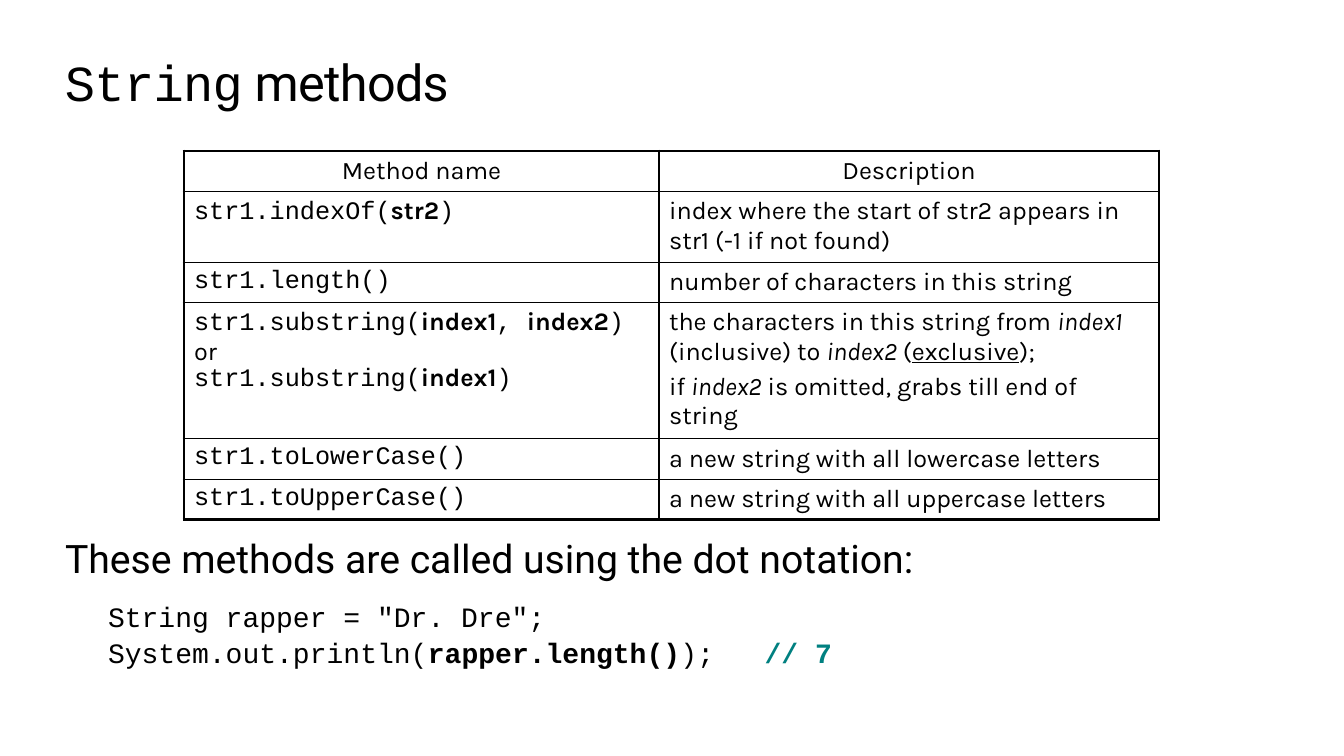
from lxml import etree
from pptx import Presentation
from pptx.dml.color import RGBColor
from pptx.enum.text import MSO_ANCHOR, PP_ALIGN
from pptx.oxml.ns import qn
from pptx.util import Pt

BOTTOM, TOP = MSO_ANCHOR.BOTTOM, MSO_ANCHOR.TOP
CENTER = PP_ALIGN.CENTER
PX = 914400 / 100.8
BLACK, TEAL = "000000", "008080"
THIN, THICK = 1, 2.25

CODE = {"name": "Courier New"}
PROSE = {"name": "Karla"}
HEADING = {"name": "Roboto"}
ARGUMENT = {"name": "Karla", "bold": True}
ITALIC = {"name": "Karla", "italic": True}
UNDERLINED = {"name": "Karla", "underline": True}
BOLD_CODE = {"name": "Courier New", "bold": True}


def px(*lengths):
    return [round(length * PX) for length in lengths]


def write(frame, paragraphs, size, formats=()):
    """Fill a text frame with lists of (text, font values), one list a paragraph."""
    frame.word_wrap = True
    for i, runs in enumerate(paragraphs):
        paragraph = frame.paragraphs[0] if i == 0 else frame.add_paragraph()
        for text, font_values in runs:
            run = paragraph.add_run()
            run.text = text
            values = {"size": Pt(size), **font_values}
            run.font.color.rgb = RGBColor.from_string(values.pop("color", BLACK))
            for key, value in values.items():
                setattr(run.font, key, value)
        for key, value in (formats[i] if formats else {}).items():
            setattr(paragraph, key, value)


prs = Presentation()
prs.slide_width, prs.slide_height = px(1344, 756)
slide = prs.slides.add_slide(prs.slide_layouts[6])

# Title and dot notation example
title = slide.shapes.add_textbox(*px(65, 45, 1215, 67)).text_frame
usage = slide.shapes.add_textbox(*px(65, 534, 1231, 147)).text_frame
for frame, anchor, top_inset in ((title, BOTTOM, 5), (usage, TOP, 0)):
    frame.vertical_anchor = anchor
    frame.margin_left, frame.margin_top, frame.margin_right, frame.margin_bottom = px(0, top_inset, 0, 0)

write(title, [[("String", CODE), (" methods", HEADING)]], 36)
for run in title.paragraphs[0].runs:
    run.font._element.set("spc", "-50")

usage_lines = [
    [("These methods are called using the dot notation:", {**HEADING, "size": Pt(28)})],
    [('String rapper = "Dr. Dre";', CODE)],
    [("System.out.println(", CODE), ("rapper.length()", BOLD_CODE), (");   ", CODE),
     ("// 7", {**BOLD_CODE, "color": TEAL})],
]
write(usage, usage_lines, 20, [
    {},
    {"line_spacing": 0.8, "space_before": Pt(18)},
    {"line_spacing": 0.8, "space_before": Pt(6)},
])
for paragraph in usage.paragraphs[1:]:
    paragraph._p.get_or_add_pPr().set("marL", str(px(43)[0]))

# Method table
methods = [
    (39, [[("Method name", PROSE)]], [[("Description", PROSE)]]),
    (71, [[("str1.indexOf(", CODE), ("str2", ARGUMENT), (")", CODE)]],
     [[("index where the start of str2 appears in str1 (-1 if not found)", PROSE)]]),
    (40, [[("str1.length()", CODE)]], [[("number of characters in this string", PROSE)]]),
    (133, [
        [("str1.substring(", CODE), ("index1", ARGUMENT), (", ", CODE),
         ("index2", ARGUMENT), (")", CODE)],
        [("or", PROSE)],
        [("str1.substring(", CODE), ("index1", ARGUMENT), (")", CODE)],
    ], [
        [("the characters in this string from ", PROSE), ("index1", ITALIC),
         (" (inclusive) to ", PROSE), ("index2", ITALIC), (" (", PROSE),
         ("exclusive", UNDERLINED), (");", PROSE)],
        [("if ", PROSE), ("index2", ITALIC), (" is omitted, grabs till end of string", PROSE)],
    ]),
    (40, [[("str1.toLowerCase()", CODE)]], [[("a new string with all lowercase letters", PROSE)]]),
    (40, [[("str1.toUpperCase()", CODE)]], [[("a new string with all uppercase letters", PROSE)]]),
]
column_widths = px(475, 500)
table_height = sum(row[0] for row in methods)
table = slide.shapes.add_table(len(methods), 2, *px(184, 151, 975, table_height)).table
table.first_row = table.horz_banding = False
for column, width in zip(table.columns, column_widths):
    column.width = width

last_row = len(methods) - 1
for r, (height, *contents) in enumerate(methods):
    table.rows[r].height = px(height)[0]
    for c, paragraphs in enumerate(contents):
        cell = table.cell(r, c)
        cell.fill.background()
        line_spacing = 0.7 if c == 0 else 1.0
        later = {"line_spacing": line_spacing, "space_before": Pt(3.6)}
        first = {"alignment": CENTER} if r == 0 else {}
        write(cell.text_frame, paragraphs, 18, [first] + [later] * (len(paragraphs) - 1))

        outer_sides = {"lnL": c == 0, "lnR": c == 1, "lnT": r == 0, "lnB": r == last_row}
        cell_properties = cell._tc.get_or_add_tcPr()
        for position, (side, is_outer) in enumerate(outer_sides.items()):
            border = etree.Element(qn(f"a:{side}"), w=str(Pt(THICK if is_outer else THIN)))
            fill = etree.SubElement(border, qn("a:solidFill"))
            etree.SubElement(fill, qn("a:srgbClr"), val=BLACK)
            cell_properties.insert(position, border)

prs.save("out.pptx")
